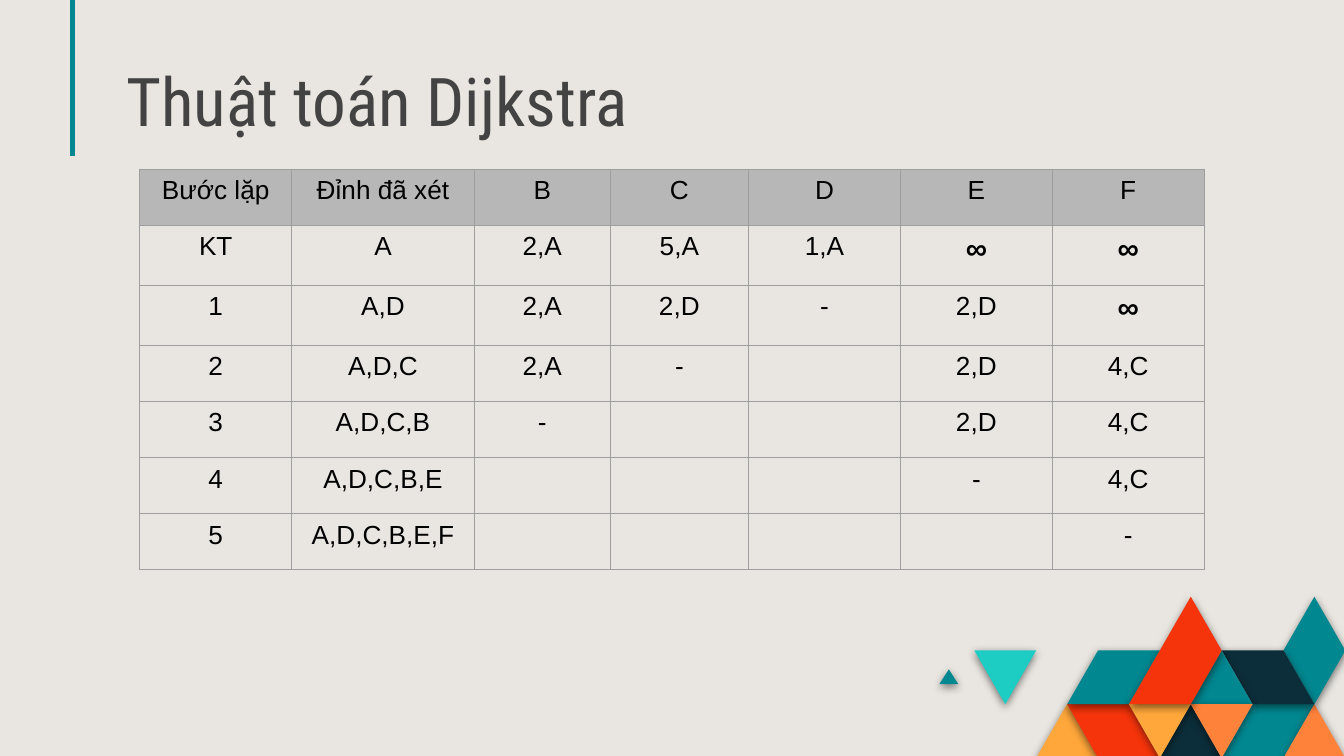
from dataclasses import dataclass

from lxml import etree
from pptx import Presentation, util as u
from pptx.dml.color import RGBColor
from pptx.enum import shapes, text
from pptx.oxml import ns


@dataclass(frozen=True)
class Theme:
    background: str = "E9E6E1"
    ink: str = "000000"
    title_ink: str = "434343"
    header: str = "B7B7B7"
    border: str = "9E9E9E"
    teal: str = "018790"
    aqua: str = "1DCDC3"
    navy: str = "0C2E3A"
    red: str = "F5340B"
    amber: str = "FFA73B"
    orange: str = "FF823B"
    title_font: str = "Roboto Condensed"
    body_font: str = "Arial"
    title_size: int = 36
    body_size: int = 14
    infinity_size: int = 16


@dataclass(frozen=True)
class Tile:
    """A mosaic tile; corners are (column, row) on the triangle lattice."""
    color: str
    corners: tuple[tuple[float, float], ...]


THEME = Theme()

# Widescreen slide, 16 to 9
SLIDE_WIDTH = u.Inches(10)
SLIDE_HEIGHT = SLIDE_WIDTH * 9 // 16

# Triangle lattice, in hundredths of an inch
HUNDREDTH = u.Inches(0.01)
LATTICE_LEFT, LATTICE_TOP = 771, 444
HALF_SIDE, TILE_HEIGHT = 23, 40


def up(color: str, col: float, row: float) -> Tile:
    return Tile(color, ((col, row + 1), (col + 1, row), (col + 2, row + 1)))


def down(color: str, col: float, row: float) -> Tile:
    return Tile(color, ((col, row), (col + 2, row), (col + 1, row + 1)))


MOSAIC = (
    up(THEME.amber, 0, 2),
    Tile(THEME.red, ((1, 2), (3, 2), (4, 3), (2, 3))),
    Tile(THEME.teal, ((6, 3), (7, 2), (9, 2), (8, 3))),
    up(THEME.orange, 8, 2),
    up(THEME.navy, 4, 2),
    Tile(THEME.teal, ((1, 2), (2, 1), (4, 1), (3, 2))),
    Tile(THEME.teal, ((-3.13, 1.63), (-2.83, 1.35), (-2.52, 1.63))),
    down(THEME.aqua, -2, 1),
    Tile(THEME.teal, ((8, 1), (9, 0), (10, 1), (9, 2))),
    Tile(THEME.navy, ((6, 1), (8, 1), (9, 2), (7, 2))),
    up(THEME.teal, 5, 1),
    down(THEME.orange, 5, 2),
    down(THEME.amber, 3, 2),
    Tile(THEME.red, ((3, 2), (5, 0), (6, 1), (5, 2))),
)

# Dijkstra iterations
INFINITY = "∞"
COLUMN_WIDTHS = (1.13, 1.36, 1.01, 1.03, 1.13, 1.13, 1.13)
ROW_HEIGHT, INFINITY_ROW_HEIGHT = u.Pt(30.1), u.Pt(32.1)
STEPS = (
    ("Bước lặp", "Đỉnh đã xét", "B", "C", "D", "E", "F"),
    ("KT", "A", "2,A", "5,A", "1,A", INFINITY, INFINITY),
    ("1", "A,D", "2,A", "2,D", "-", "2,D", INFINITY),
    ("2", "A,D,C", "2,A", "-", "", "2,D", "4,C"),
    ("3", "A,D,C,B", "-", "", "", "2,D", "4,C"),
    ("4", "A,D,C,B,E", "", "", "", "-", "4,C"),
    ("5", "A,D,C,B,E,F", "", "", "", "", "-"),
)


def set_font(paragraph, face: str, size: int, color: str, bold: bool = False) -> None:
    font = paragraph.font
    font.name, font.size, font.bold = face, u.Pt(size), bold
    font.color.rgb = RGBColor.from_string(color)


def add_color(parent, color: str):
    return etree.SubElement(parent, ns.qn("a:srgbClr"), val=color)


def draw_tile(slide, tile: Tile) -> None:
    first, *others = [(LATTICE_LEFT + col * HALF_SIDE, LATTICE_TOP + row * TILE_HEIGHT)
                      for col, row in tile.corners]
    outline = slide.shapes.build_freeform(*first, scale=HUNDREDTH)
    outline.add_line_segments(others, close=True)
    piece = outline.convert_to_shape()
    piece.fill.solid()
    piece.fill.fore_color.rgb = RGBColor.from_string(tile.color)
    piece.line.fill.background()
    # Soft shadow straight below
    piece.shadow.inherit = False
    effects = piece._element.spPr.find(ns.qn("a:effectLst"))
    shadow = etree.SubElement(effects, ns.qn("a:outerShdw"), blurRad=str(u.Pt(4.5)),
                              dist=str(u.Pt(1.5)), dir="5400000", rotWithShape="0")
    etree.SubElement(add_color(shadow, "000000"), ns.qn("a:alpha"), val="50000")


def draw_accent(slide) -> None:
    x = u.Inches(0.54)
    accent = slide.shapes.add_connector(shapes.MSO_CONNECTOR.STRAIGHT, x, 0, x, u.Inches(1.16))
    accent.line.color.rgb = RGBColor.from_string(THEME.teal)
    accent.line.width = u.Pt(2.25)
    etree.SubElement(accent._element.spPr, ns.qn("a:effectLst"))


def write_title(slide, wording: str) -> None:
    title = slide.shapes.title
    title.left, title.top = u.Inches(0.84), u.Inches(0.51)
    title.width, title.height = u.Inches(5.16), u.Inches(0.63)
    frame = title.text_frame
    frame.text = wording
    frame.word_wrap = True
    frame.auto_size = text.MSO_AUTO_SIZE.NONE
    frame.vertical_anchor = text.MSO_ANCHOR.BOTTOM
    frame.margin_left = frame.margin_right = u.Inches(0.1)
    frame.margin_top = frame.margin_bottom = u.Inches(0.1)
    heading = frame.paragraphs[0]
    heading.alignment = text.PP_ALIGN.LEFT
    set_font(heading, THEME.title_font, THEME.title_size, THEME.title_ink)


def add_borders(cell) -> None:
    properties = cell._tc.get_or_add_tcPr()
    for place, side in enumerate(("a:lnL", "a:lnR", "a:lnT", "a:lnB")):
        edge = etree.Element(ns.qn(side), w=str(u.Pt(0.75)))
        add_color(etree.SubElement(edge, ns.qn("a:solidFill")), THEME.border)
        properties.insert(place, edge)


def fill_cell(cell, wording: str, is_header: bool) -> None:
    cell.text = wording
    if is_header:
        cell.fill.solid()
        cell.fill.fore_color.rgb = RGBColor.from_string(THEME.header)
    else:
        cell.fill.background()
    add_borders(cell)
    entry = cell.text_frame.paragraphs[0]
    entry.alignment = text.PP_ALIGN.CENTER
    endless = wording == INFINITY
    size = THEME.infinity_size if endless else THEME.body_size
    set_font(entry, THEME.body_font, size, THEME.ink, bold=endless)


def draw_steps(slide) -> None:
    heights = [INFINITY_ROW_HEIGHT if INFINITY in step else ROW_HEIGHT for step in STEPS]
    steps = slide.shapes.add_table(
        len(STEPS), len(COLUMN_WIDTHS), u.Inches(1.04), u.Inches(1.26),
        u.Inches(sum(COLUMN_WIDTHS)), sum(heights)).table
    steps.first_row = steps.horz_banding = False
    for column, width in zip(steps.columns, COLUMN_WIDTHS):
        column.width = u.Inches(width)
    for index, (row, height, step) in enumerate(zip(steps.rows, heights, STEPS)):
        row.height = height
        for cell, wording in zip(row.cells, step):
            fill_cell(cell, wording, is_header=index == 0)


def main() -> None:
    deck = Presentation()
    deck.slide_width, deck.slide_height = SLIDE_WIDTH, SLIDE_HEIGHT
    slide = deck.slides.add_slide(deck.slide_layouts.get_by_name("Title Only"))
    slide.background.fill.solid()
    slide.background.fill.fore_color.rgb = RGBColor.from_string(THEME.background)
    draw_accent(slide)
    for tile in MOSAIC:
        draw_tile(slide, tile)
    write_title(slide, "Thuật toán Dijkstra")
    draw_steps(slide)
    deck.save("out.pptx")


main()
